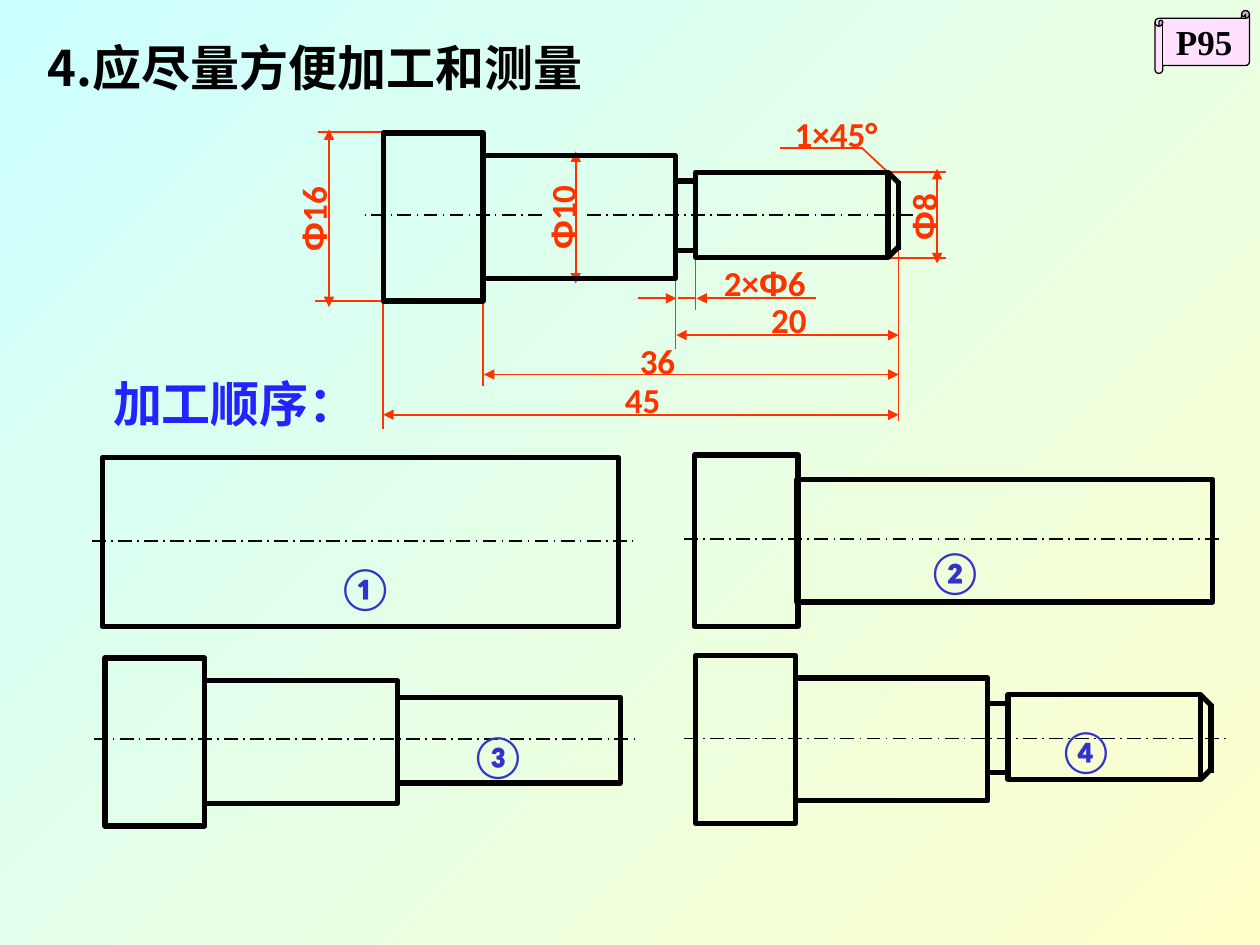
from dataclasses import dataclass
from itertools import groupby

from lxml.etree import SubElement
from pptx import Presentation
from pptx.dml.color import RGBColor
from pptx.enum.dml import MSO_LINE
from pptx.enum.shapes import MSO_CONNECTOR, MSO_SHAPE
from pptx.enum.text import MSO_ANCHOR, MSO_AUTO_SIZE, PP_ALIGN
from pptx.oxml.ns import qn
from pptx.util import Pt


@dataclass(frozen=True)
class Theme:
    sky: str = "CCFFFF"
    cream: str = "FFFFCC"
    ink: str = "000000"
    dimension: str = "FF3300"
    step: str = "3333CC"
    heading: str = "2323FF"
    scroll: str = "FFE1FF"
    latin: str = "Calibri"
    symbol: str = "Arial"
    serif: str = "Times New Roman"
    cjk: str = "Noto Sans CJK SC"
    title_size: int = 28
    step_size: int = 24
    label_size: int = 20
    outline: float = 3
    thin: float = 1


THEME = Theme()

HEAD = (0, 0, 57, 96)
MIDDLE = (57, 13, 110, 70)
JOURNAL = (178.5, 22.5, 110, 48.5)
FINISHED = [HEAD, MIDDLE, JOURNAL]
GROOVE_AND_CHAMFER = [
    (167, 27.5, 178.5, 27.5),
    (167, 67, 178.5, 67),
    (288.5, 22.5, 295, 29),
    (288.5, 71, 295, 64.5),
    (294.5, 67, 294.5, 28),
]

STEPS = [
    ("①", (185.75, 317.5), (58.5, 261.5), [(0, 0, 295, 96.5)], [], (52.5, 361.5, 309)),
    ("②", (522.75, 308), (397, 260), [(0, 0, 59, 98), (58.5, 14, 237.5, 70)], [],
     (391, 699, 308)),
    ("③", (261.5, 413.5), (60, 376), [HEAD, MIDDLE, (167, 22.5, 127.5, 49)], [],
     (53.5, 365, 422.5)),
    ("④", (597.5, 410.5), (397.5, 374.5), FINISHED, GROOVE_AND_CHAMFER,
     (391, 702.5, 422)),
]

DIMENSIONS = [
    ("2×Φ6", (402, 145.5, 70), 0, [
        (397.5, 148.5, 397.5, 177, ""),
        (364.5, 170.5, 386.5, 170.5, "tail"),
        (387.5, 170.5, 397.5, 170.5, ""),
        (398, 170.5, 466.5, 170.5, "head")]),
    ("20", (432, 167, 37.5), 0, [
        (386, 159, 386, 199.5, ""),
        (386.5, 191.5, 513.5, 191.5, "head tail")]),
    ("36", (357, 190, 37.5), 0, [
        (276, 172, 276, 220.5, ""),
        (276.5, 214, 513.5, 214, "head tail")]),
    ("45", (348.5, 212.5, 37.5), 0, [
        (513.5, 141, 513.5, 240.5, ""),
        (219, 172, 219, 245, ""),
        (219, 237, 513.5, 237, "head tail")]),
    ("Φ8", (507, 108.5, 41), 270, [
        (503.5, 98.5, 540.5, 98.5, ""),
        (502, 147.5, 540.5, 147.5, ""),
        (535.5, 96.5, 535.5, 150.5, "head tail")]),
    ("1×45°", (443.5, 60.5, 68.5), 0, [
        (507.5, 98.5, 492.5, 84.5, ""),
        (492.5, 84.5, 445.5, 84.5, "")]),
    ("Φ10", (292.5, 108.5, 57), 270, [
        (329, 86.5, 329, 162, "head tail")]),
    ("Φ16", (152.5, 109.5, 52.5), 270, [
        (220.5, 75.5, 181.5, 75.5, ""),
        (219, 172, 180, 172, ""),
        (188, 74, 188, 175.5, "head tail")]),
]


def write(frame, text, *, size, color, font=THEME.latin, east_asian=None):
    frame.word_wrap = False
    frame.vertical_anchor = MSO_ANCHOR.MIDDLE
    paragraph = frame.paragraphs[0]
    paragraph.alignment = PP_ALIGN.CENTER
    for is_phi, letters in groupby(text, lambda letter: letter == "Φ"):
        run = paragraph.add_run()
        run.text = "".join(letters)
        run.font.name = THEME.symbol if is_phi else font
        run.font.size = Pt(size)
        run.font.bold = True
        run.font.color.rgb = RGBColor.from_string(color)
        if east_asian:
            SubElement(run.font._element, qn("a:ea"), typeface=east_asian)


def add_label(shapes, text, left, top, width, height, rotation=0, **style):
    label = shapes.add_textbox(Pt(left), Pt(top), Pt(width), Pt(height))
    label.rotation = rotation
    write(label.text_frame, text, **style)
    label.text_frame.auto_size = MSO_AUTO_SIZE.SHAPE_TO_FIT_TEXT


def add_line(shapes, x1, y1, x2, y2, color=THEME.ink, width=THEME.thin, dash=None, arrows=""):
    connector = shapes.add_connector(MSO_CONNECTOR.STRAIGHT, Pt(x1), Pt(y1), Pt(x2), Pt(y2))
    connector.line.color.rgb = RGBColor.from_string(color)
    connector.line.width = Pt(width)
    if dash:
        connector.line.dash_style = dash
    for end in arrows.split():
        SubElement(connector.line._get_or_add_ln(), qn(f"a:{end}End"), type="triangle")
    SubElement(connector._element.spPr, qn("a:effectLst"))


def add_axis(shapes, x1, x2, y):
    add_line(shapes, x1, y, x2, y, dash=MSO_LINE.LONG_DASH_DOT)


def add_shaft(shapes, origin, sections, edges):
    x, y = origin
    for dx, dy, width, height in sections:
        section = shapes.add_shape(
            MSO_SHAPE.RECTANGLE, Pt(x + dx), Pt(y + dy), Pt(width), Pt(height))
        section.shadow.inherit = False
        section.fill.background()
        section.line.color.rgb = RGBColor.from_string(THEME.ink)
        section.line.width = Pt(THEME.outline)
    for x1, y1, x2, y2 in edges:
        add_line(shapes, x + x1, y + y1, x + x2, y + y2, width=THEME.outline)


def add_dimension(shapes, text, place, rotation, lines):
    add_label(shapes, text, *place, 31.5, rotation,
              size=THEME.label_size, color=THEME.dimension)
    for *ends, arrows in lines:
        add_line(shapes, *ends, color=THEME.dimension, arrows=arrows)


def add_step(shapes, number, place, origin, sections, edges, axis):
    add_axis(shapes, *axis)
    add_shaft(shapes, origin, sections, edges)
    add_label(shapes, number, *place, 34.5, 36, size=THEME.step_size,
              color=THEME.step, east_asian=THEME.cjk)


def add_page_scroll(shapes, text):
    scroll = shapes.add_shape(MSO_SHAPE.HORIZONTAL_SCROLL, Pt(660), Pt(6), Pt(54), Pt(36))
    scroll.shadow.inherit = False
    scroll.fill.solid()
    scroll.fill.fore_color.rgb = RGBColor.from_string(THEME.scroll)
    scroll.line.color.rgb = RGBColor.from_string(THEME.ink)
    scroll.line.width = Pt(0.75)
    write(scroll.text_frame, text, size=THEME.label_size, color=THEME.ink, font=THEME.serif)


def paint_background(slide):
    fill = slide.background.fill
    fill.gradient()
    fill.gradient_angle = 315
    for stop, color, position in zip(fill.gradient_stops, (THEME.sky, THEME.cream), (0, 1)):
        stop.color.rgb = RGBColor.from_string(color)
        stop.position = position


def set_title(slide, text):
    title = slide.shapes.title
    title.left, title.top, title.width, title.height = Pt(-23), Pt(18), Pt(406), Pt(41)
    write(title.text_frame, text, size=THEME.title_size, color=THEME.ink,
          font=THEME.cjk, east_asian=THEME.cjk)
    title.text_frame.auto_size = MSO_AUTO_SIZE.NONE


def main():
    deck = Presentation()
    deck.slide_width, deck.slide_height = Pt(720), Pt(540)
    slide = deck.slides.add_slide(deck.slide_layouts[5])
    paint_background(slide)
    set_title(slide, "4.应尽量方便加工和测量")
    for dimension in DIMENSIONS:
        add_dimension(slide.shapes.add_group_shape().shapes, *dimension)
    drawing = slide.shapes.add_group_shape().shapes
    add_axis(drawing, 335.5, 524, 123)
    add_axis(drawing, 309.5, 206.5, 123)
    add_shaft(drawing, (219, 76), FINISHED, GROOVE_AND_CHAMFER)
    for step in STEPS:
        add_step(slide.shapes.add_group_shape().shapes, *step)
    add_label(slide.shapes, "加工顺序：", 57.5, 209.5, 154, 41,
              size=THEME.title_size, color=THEME.heading, east_asian=THEME.cjk)
    add_page_scroll(slide.shapes, "P95")
    deck.save("out.pptx")


if __name__ == "__main__":
    main()
